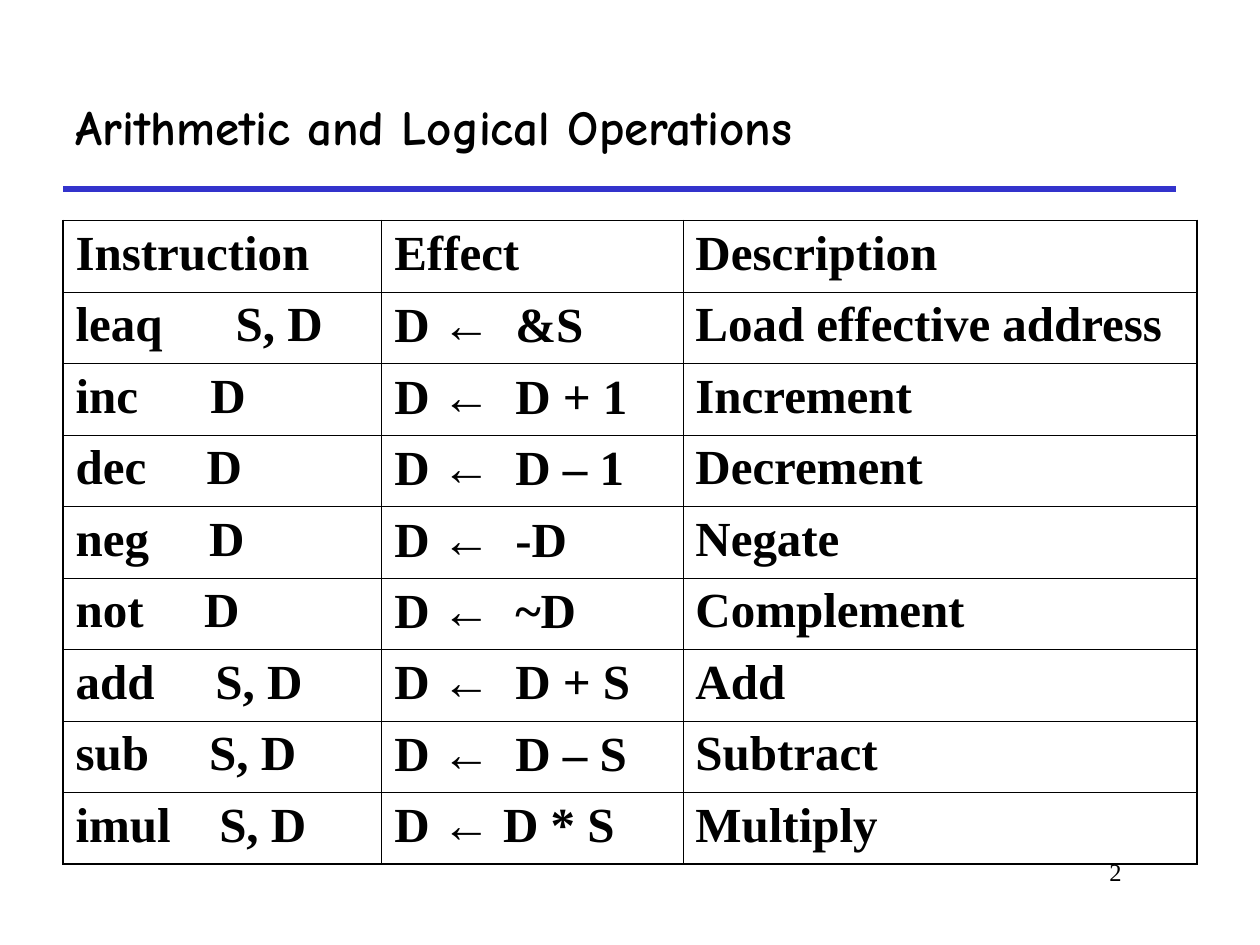
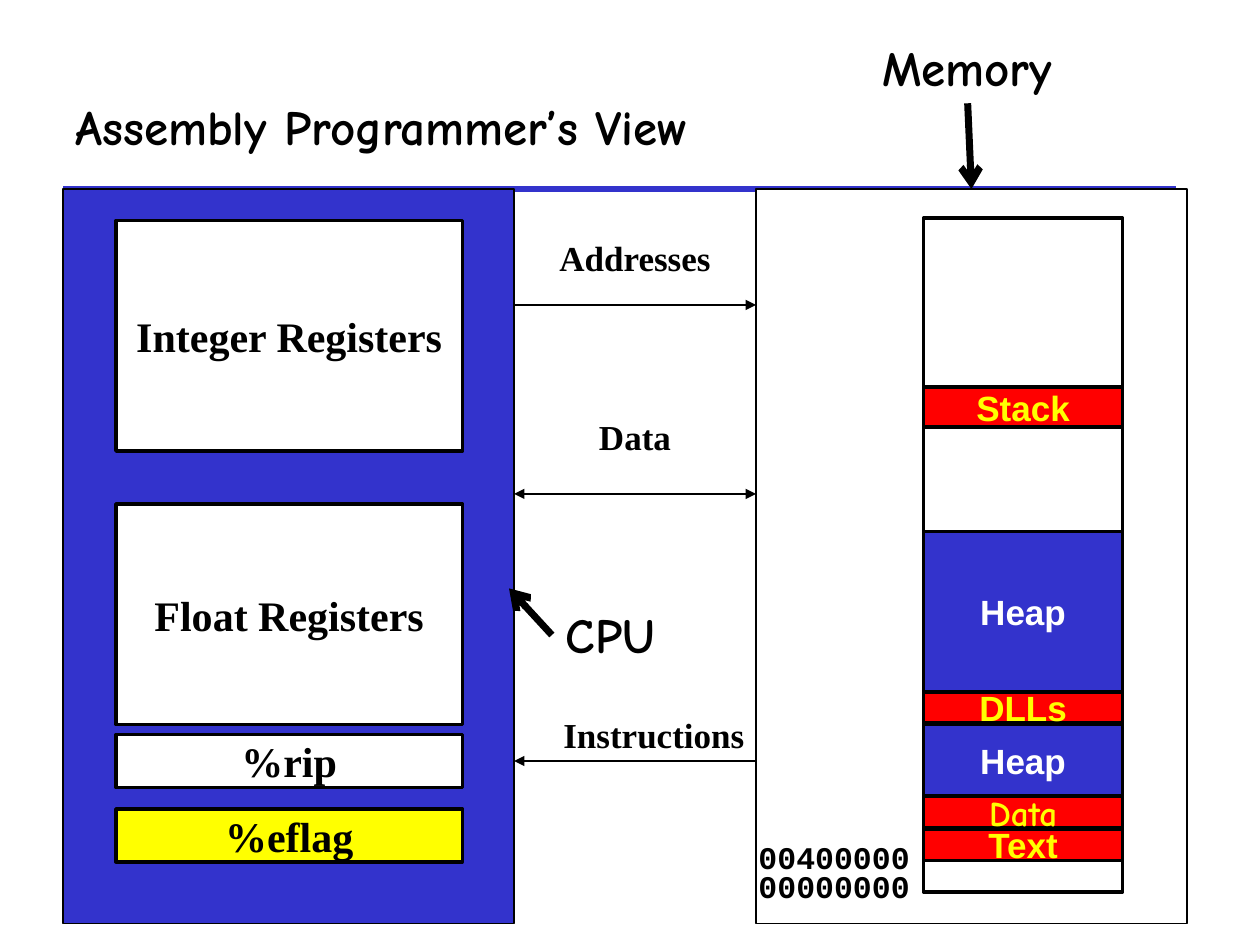
from pptx import Presentation
from pptx.dml.color import RGBColor
from pptx.enum.shapes import MSO_CONNECTOR, MSO_SHAPE
from pptx.enum.text import MSO_ANCHOR, PP_ALIGN
from pptx.oxml.ns import qn
from pptx.util import Inches, Pt
from lxml.etree import SubElement

BLACK = RGBColor(0, 0, 0)
WHITE = RGBColor(255, 255, 255)
BLUE = RGBColor(0x33, 0x33, 0xCC)
RED = RGBColor(255, 0, 0)
YELLOW = RGBColor(255, 255, 0)
SERIF, SANS, COMIC, MONO = "Times New Roman", "Arial", "Comic Neue", "Courier New"

HEADS = ["Instruction", "Effect", "Description"]
WIDTHS = [2.53, 2.39, 4.08]
GAP = 0.96
OPS = [
    ("leaq", "S, D", 1.27, "\t&S", "Load effective address"),
    ("inc", "D", 1.07, "\tD + 1", "Increment"),
    ("dec", "D", 1.04, "\tD – 1", "Decrement"),
    ("neg", "D", 1.06, "\t-D", "Negate"),
    ("not", "D", 1.02, "\t~D", "Complement"),
    ("add", "S, D", 1.11, "\tD + S", "Add"),
    ("sub", "S, D", 1.06, "\tD – S", "Subtract"),
    ("imul", "S, D", 1.14, " D * S", "Multiply"),
]
UNITS = [
    ("Integer Registers", 0.25, 1.83, WHITE),
    ("Float Registers", 2.5, 1.75, WHITE),
    ("%rip", 4.33, 0.42, WHITE),
    ("%eflag", 4.92, 0.42, YELLOW),
]
PARTS = [
    ("Stack", 1.34, 0.32, RED, YELLOW, SANS),
    ("Heap", 2.49, 1.27, BLUE, WHITE, SANS),
    ("DLLs", 3.76, 0.25, RED, YELLOW, SANS),
    ("Heap", 4.02, 0.57, BLUE, WHITE, SANS),
    ("Data", 4.59, 0.25, RED, YELLOW, COMIC),
    ("Text", 4.85, 0.25, RED, YELLOW, SANS),
]


def write(para, text, size, font=SERIF, color=BLACK, bold=True):
    """Add one formatted run to a paragraph."""
    run = para.add_run()
    run.text = text
    run.font.size, run.font.name, run.font.bold = Pt(size), font, bold
    run.font.color.rgb = color


def stop(para, pos):
    """Give a paragraph one left tab stop."""
    tabs = SubElement(para._p.get_or_add_pPr(), qn("a:tabLst"))
    SubElement(tabs, qn("a:tab"), pos=str(Inches(pos)), algn="l")


def line(slide, start, end, width, color=BLACK, head=None, tail=None):
    """Draw a straight line with optional arrowheads."""
    ends = [Inches(n) for n in (*start, *end)]
    link = slide.shapes.add_connector(MSO_CONNECTOR.STRAIGHT, *ends)
    link.line.width = Pt(width)
    link.line.color.rgb = color
    stroke = link.line._get_or_add_ln()
    for name, kind in (("a:headEnd", head), ("a:tailEnd", tail)):
        if kind:
            SubElement(stroke, qn(name), type=kind)
    SubElement(link._element.spPr, qn("a:effectLst"))


def block(slide, box, fill, width, text="", size=24, font=SERIF, color=BLACK):
    """Draw an outlined box with an optional centred label."""
    rect = slide.shapes.add_shape(MSO_SHAPE.RECTANGLE, *[Inches(n) for n in box])
    rect.shadow.inherit = False
    rect.fill.solid()
    rect.fill.fore_color.rgb = fill
    rect.line.color.rgb = BLACK
    rect.line.width = Pt(width)
    if text:
        frame = rect.text_frame
        frame.word_wrap = False
        frame.vertical_anchor = MSO_ANCHOR.MIDDLE
        frame.paragraphs[0].alignment = PP_ALIGN.CENTER
        write(frame.paragraphs[0], text, size, font, color)


def label(slide, box, text, size, font=SERIF, bold=True, align=PP_ALIGN.CENTER, wrap=False):
    """Place a line of free text."""
    frame = slide.shapes.add_textbox(*[Inches(n) for n in box]).text_frame
    frame.word_wrap = wrap
    frame.paragraphs[0].alignment = align
    write(frame.paragraphs[0], text, size, font, bold=bold)


def base(deck, text):
    """Add a slide with its title and rule."""
    slide = deck.slides.add_slide(deck.slide_layouts[5])
    line(slide, (0.5, 1.5), (9.33, 1.5), 3, BLUE)
    title = slide.shapes.title
    title.left, title.top = Inches(0.5), Inches(0.5)
    title.width, title.height = Inches(8.83), Inches(1)
    frame = title.text_frame
    frame.vertical_anchor = MSO_ANCHOR.MIDDLE
    frame.paragraphs[0].alignment = PP_ALIGN.LEFT
    write(frame.paragraphs[0], text, 28, COMIC)
    return slide


def edge(cell, outer):
    """Border a cell, thicker on the outer sides."""
    props = cell._tc.get_or_add_tcPr()
    for side in "LRTB":
        width = Pt(1.08 if side in outer else 0.45)
        stroke = SubElement(props, qn("a:ln" + side), w=str(width))
        fill = SubElement(stroke, qn("a:solidFill"))
        SubElement(fill, qn("a:srgbClr"), val=str(BLACK))
    cell.fill.solid()
    cell.fill.fore_color.rgb = WHITE


def grid(slide, box):
    """Fill the table of instructions."""
    rows, cols = len(OPS) + 1, len(HEADS)
    table = slide.shapes.add_table(rows, cols, *[Inches(n) for n in box]).table
    table.first_row = table.horz_banding = False
    for col, width in zip(table.columns, WIDTHS):
        col.width = Inches(width)
    for r in range(rows):
        for c in range(cols):
            sides = {"L": c == 0, "R": c == cols - 1, "T": r == 0, "B": r == rows - 1}
            edge(table.cell(r, c), [side for side, on in sides.items() if on])
    for c, head in enumerate(HEADS):
        write(table.cell(0, c).text_frame.paragraphs[0], head, 28)
    for r, (name, args, pos, value, note) in enumerate(OPS, 1):
        code, effect, about = [table.cell(r, c).text_frame.paragraphs[0] for c in range(cols)]
        stop(code, pos)
        write(code, f"{name}\t{args}", 28)
        stop(effect, GAP)
        write(effect, "D ", 28)
        write(effect, "←", 28, SANS)
        write(effect, value, 28)
        write(about, note, 28)


def chip(slide, box):
    """Draw the processor, its registers and its callout."""
    left, top, wide, _ = box
    block(slide, box, BLUE, 0.75)
    for text, drop, high, fill in UNITS:
        block(slide, (left + 0.42, top + drop, 2.75, high), fill, 2, text)
    right = left + wide
    label(slide, (right + 0.31, top + 3.25, 0.91, 0.57), "CPU", 28, COMIC)
    line(slide, (right + 0.3, top + 3.54), (right - 0.04, top + 3.17), 4, tail="arrow")


def store(slide, box):
    """Draw the memory, its regions and its callout."""
    left, top, _, _ = box
    block(slide, box, WHITE, 0.75)
    x, y, wide = left + 1.33, top + 0.23, 1.58
    block(slide, (x, y, wide, 5.35), WHITE, 2)
    for text, drop, high, fill, color, font in PARTS:
        block(slide, (x, y + drop, wide, high), fill, 2, text, 20, font, color)
    for text, drop in (("00400000", 5.1), ("00000000", 5.33)):
        label(slide, (left - 0.08, top + drop, 1.4, 0.4), text, 18, MONO)
    label(slide, (left + 0.9, top - 1.25, 1.55, 0.57), "Memory", 28, COMIC)
    line(slide, (left + 1.68, top - 0.68), (left + 1.71, top), 4, tail="arrow")


def bus(slide, box):
    """Draw the labelled links between processor and memory."""
    left, top, wide, _ = box
    links = [
        ("Addresses", 0, 0.33, 0.92, None, "triangle"),
        ("Data", 0, 1.75, 2.42, "triangle", "triangle"),
        ("Instructions", 0.15, 4.11, 4.54, "triangle", None),
    ]
    for text, shift, drop, level, head, tail in links:
        y = top + level
        line(slide, (left, y), (left + wide, y), 0.75, head=head, tail=tail)
        label(slide, (left + shift, top + drop, wide, 0.44), text, 20, wrap=True)


def main():
    """Build and save both slides."""
    deck = Presentation()
    deck.slide_width, deck.slide_height = Inches(10), Inches(7.5)
    slide = base(deck, "Arithmetic and Logical Operations")
    label(slide, (7.58, 6.75, 1.42, 0.5), "2", 14, bold=False, align=PP_ALIGN.RIGHT, wrap=True)
    grid(slide, (0.5, 1.75, 9, 5.1))
    slide = base(deck, "Assembly Programmer’s View")
    chip(slide, (0.5, 1.5, 3.58, 5.83))
    store(slide, (6, 1.5, 3.42, 5.83))
    bus(slide, (4.08, 1.5, 1.92, 5.83))
    deck.save("out.pptx")


if __name__ == "__main__":
    main()
